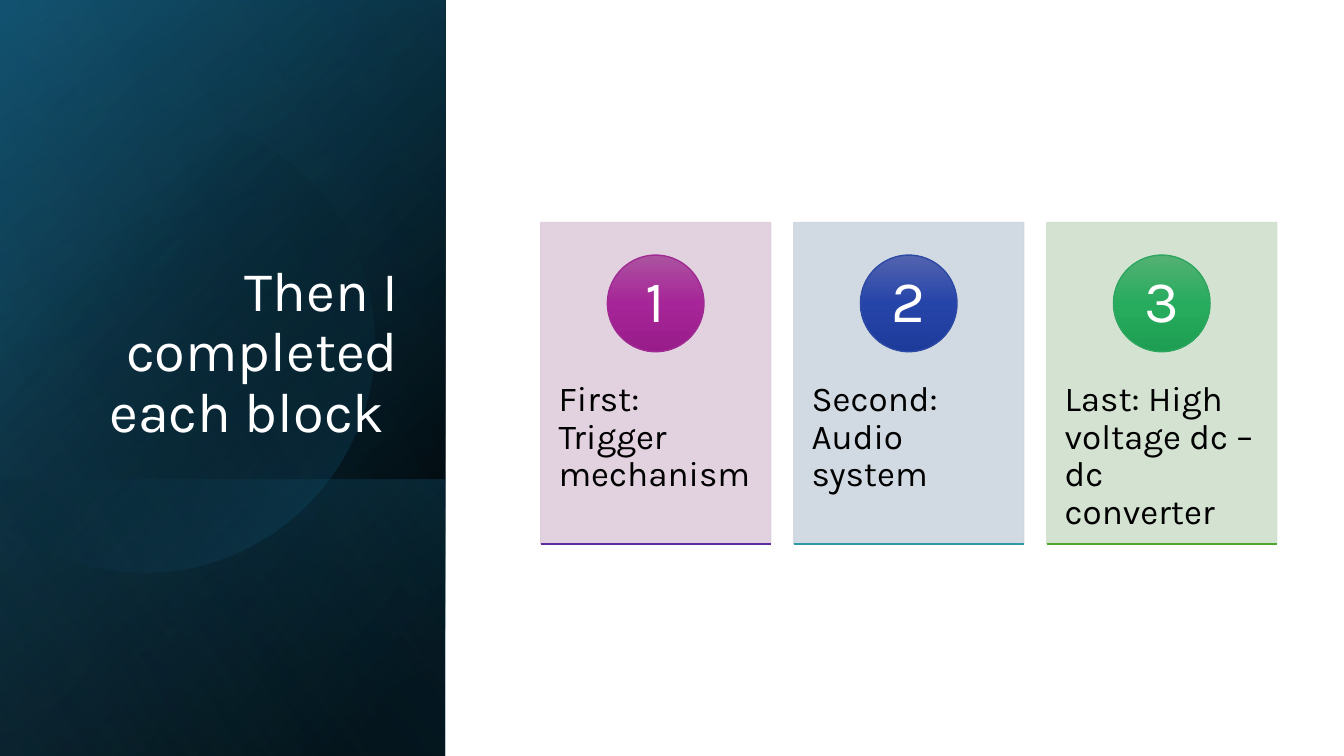
from math import acos, cos, pi, sin

from pptx import Presentation
from pptx import util as u
from pptx.dml.color import RGBColor
from pptx.enum import shapes, text
from pptx.oxml.ns import qn
from lxml import etree

PX = 9525
FONT = "Karla"
WHITE = RGBColor(0xFF, 0xFF, 0xFF)
BLACK = RGBColor(0, 0, 0)
NAVY = RGBColor(0x10, 0x48, 0x62)
TEAL = RGBColor(0x15, 0x60, 0x82)
SKY = RGBColor(0x46, 0xB1, 0xE1)

# Number, label, card colour, disc stops, disc edge, rule colour
CARDS = [
    ("1", "First: Trigger mechanism", RGBColor(0xDF, 0xCD, 0xDC),
     (RGBColor(0xAC, 0x53, 0xA0), RGBColor(0xA6, 0x25, 0x98), RGBColor(0x99, 0x1C, 0x8B)),
     RGBColor(0xA0, 0x2B, 0x93), RGBColor(0x5F, 0x2C, 0xA1)),
    ("2", "Second: Audio system", RGBColor(0xCD, 0xD6, 0xE0),
     (RGBColor(0x53, 0x63, 0xAF), RGBColor(0x26, 0x45, 0xA9), RGBColor(0x1D, 0x3B, 0x9B)),
     RGBColor(0x2C, 0x49, 0xA3), RGBColor(0x2D, 0x9A, 0xA4)),
    ("3", "Last: High voltage dc – dc converter", RGBColor(0xD0, 0xE1, 0xCD),
     (RGBColor(0x54, 0xB1, 0x73), RGBColor(0x27, 0xAC, 0x5E), RGBColor(0x1E, 0x9E, 0x52)),
     RGBColor(0x2D, 0xA6, 0x5F), RGBColor(0x4E, 0xA7, 0x2E)),
]


def px(*vals):
    return [u.Emu(round(v * PX)) for v in vals]


def fade(clr, pct):
    """Set the opacity of a colour element."""
    if pct < 100:
        etree.SubElement(clr, qn("a:alpha")).set("val", str(pct * 1000))


def blend(shape, stops, angle):
    """Fill with stops of (position, colour, opacity), angle clockwise."""
    shape.fill.gradient()
    grad = shape.element.spPr.find(qn("a:gradFill"))
    group = grad.find(qn("a:gsLst"))
    for old in list(group):
        group.remove(old)
    for pos, color, pct in stops:
        stop = etree.SubElement(group, qn("a:gs"))
        stop.set("pos", str(pos * 1000))
        clr = etree.SubElement(stop, qn("a:srgbClr"))
        clr.set("val", str(color))
        fade(clr, pct)
    line = grad.find(qn("a:lin"))
    line.set("ang", str(angle * 60000))
    line.set("scaled", "0")


def add_box(slide, kind, box):
    shape = slide.shapes.add_shape(kind, *px(*box))
    shape.shadow.inherit = False
    shape.line.fill.background()
    return shape


def write(shape, words, size, color, align, anchor, pad):
    frame = shape.text_frame
    frame.word_wrap = True
    frame.auto_size = text.MSO_AUTO_SIZE.NONE
    frame.vertical_anchor = anchor
    side, top = px(*pad)
    frame.margin_left = frame.margin_right = side
    frame.margin_top = frame.margin_bottom = top
    para = frame.paragraphs[0]
    para.alignment = align
    para.line_spacing = 0.9
    run = para.add_run()
    run.text = words
    run.font.name = FONT
    run.font.size = u.Pt(size)
    run.font.color.rgb = color


def add_arc(slide, x, y, r):
    """Disc cut off by the left edge of the slide."""
    edge = acos(-x / r)
    count = 90
    turns = [-edge + 2 * edge * i / count for i in range(count + 1)]
    pts = [px(x + r * cos(t), y + r * sin(t)) for t in turns]
    build = slide.shapes.build_freeform(*pts[0])
    build.add_line_segments(pts[1:], close=True)
    disc = build.convert_to_shape()
    disc.shadow.inherit = False
    disc.line.fill.background()
    blend(disc, [(29, BLACK, 0), (100, TEAL, 43)], 45)


def add_panel(slide, box):
    x, y, w, h = box
    foot = 263

    def layer(area, stops, angle):
        blend(add_box(slide, shapes.MSO_SHAPE.RECTANGLE, area), stops, angle)

    # Shaded background
    layer(box, [(8, BLACK, 100), (100, NAVY, 100)], 220)
    layer(box, [(0, BLACK, 0), (99, TEAL, 46)], 240)
    layer((x, y + h - foot, w, foot), [(2, TEAL, 29), (100, BLACK, 30)], 140)
    add_arc(slide, x + 137, y + 325, 220)
    layer(box, [(0, BLACK, 0), (99, SKY, 11)], 150)

    # Title, brought in front of the shading
    title = slide.shapes.title
    title.left, title.top, title.width, title.height = px(x + 61, y + 177, 328, 251)
    write(title, "Then I completed each block ", 40, WHITE,
          text.PP_ALIGN.RIGHT, text.MSO_ANCHOR.BOTTOM, (10, 5))
    slide.shapes._spTree.append(title.element)


def add_card(slide, box, card):
    num, label, tint, stops, edge, rule = card
    x, y, w, h = box

    # Tinted card
    back = add_box(slide, shapes.MSO_SHAPE.RECTANGLE, box)
    back.fill.solid()
    back.fill.fore_color.rgb = tint
    back.line.color.rgb = tint
    back.line.width = u.Pt(1)
    for clr in back.element.spPr.iter(qn("a:srgbClr")):
        fade(clr, 90)

    # Label
    note = slide.shapes.add_textbox(*px(x, y + 116, w, 183))
    write(note, label, 25, BLACK, text.PP_ALIGN.LEFT, text.MSO_ANCHOR.TOP, (17, 35))

    # Numbered disc
    size = 92
    disc = add_box(slide, shapes.MSO_SHAPE.OVAL, (x + (w - size) / 2, y + 31, size, size))
    blend(disc, [(i * 50, color, 100) for i, color in enumerate(stops)], 90)
    disc.line.color.rgb = edge
    disc.line.width = u.Pt(1)
    write(disc, num, 42, WHITE, text.PP_ALIGN.CENTER, text.MSO_ANCHOR.MIDDLE, (0, 0))

    # Bottom rule
    line = slide.shapes.add_connector(
        shapes.MSO_CONNECTOR.STRAIGHT, *px(x, y + h, x + w, y + h))
    line.line.color.rgb = rule
    line.line.width = u.Pt(1.25)
    etree.SubElement(line.element.spPr, qn("a:effectLst"))


def add_cards(slide, box):
    x, y, w, h = box
    gap = 22
    wide = (w - gap * (len(CARDS) - 1)) / len(CARDS)
    for i, card in enumerate(CARDS):
        add_card(slide, (x + i * (wide + gap), y, wide, h), card)


def main():
    deck = Presentation()
    deck.slide_width, deck.slide_height = px(1280, 720)
    slide = deck.slides.add_slide(deck.slide_layouts[5])
    add_panel(slide, (0, 0, 424, 720))
    add_cards(slide, (515, 212, 701, 306))
    deck.save("out.pptx")


if __name__ == "__main__":
    main()
